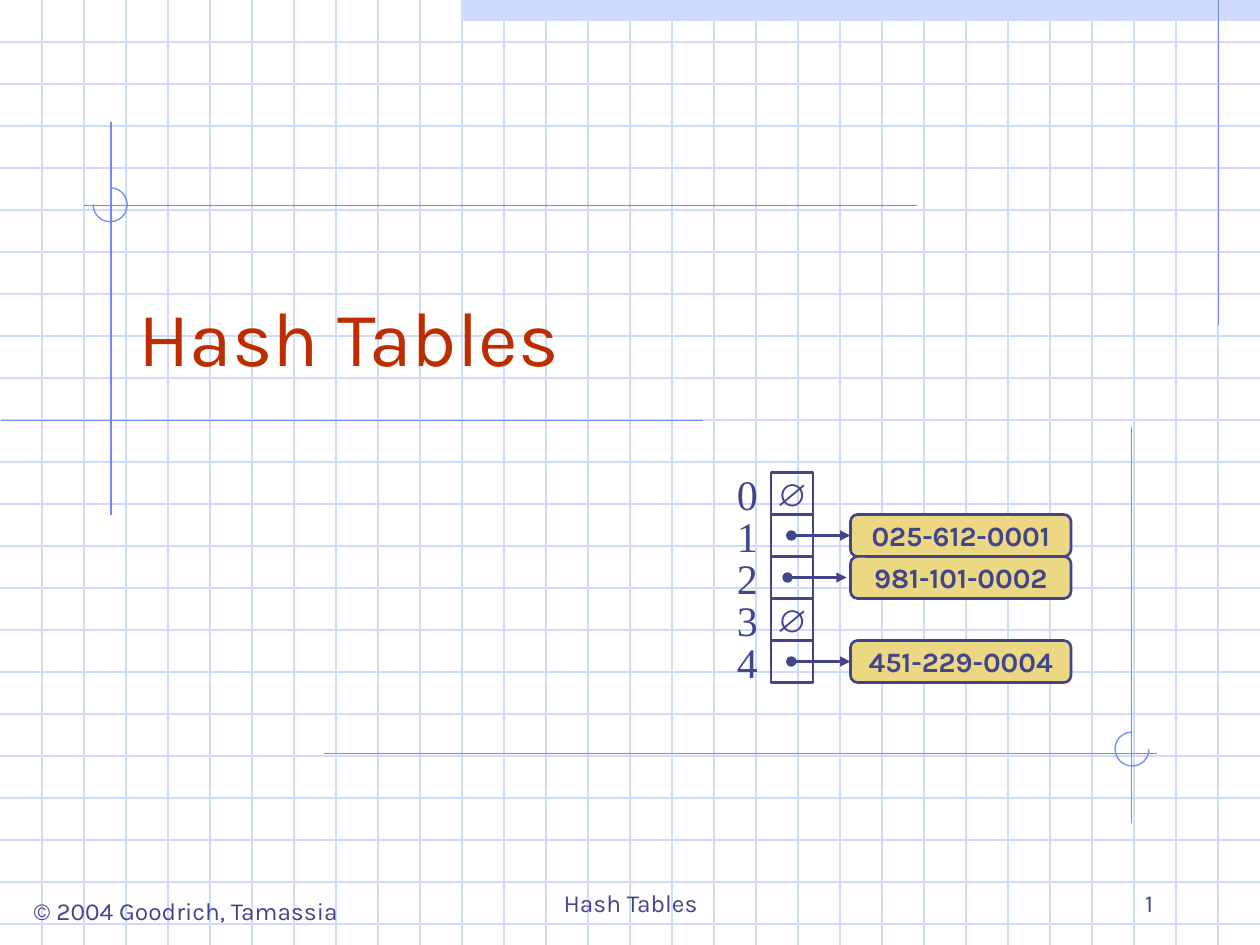
from dataclasses import dataclass

from pptx import Presentation
from pptx.dml.color import RGBColor
from pptx.enum import shapes, text
from pptx.oxml import ns
from pptx.oxml.xmlchemy import OxmlElement
from pptx.util import Inches, Pt


@dataclass(frozen=True)
class Theme:
    grid: str = "CFDBFD"
    guide: str = "6F89F7"
    ink: str = "40458C"
    title: str = "BE2D00"
    entry: str = "ECD882"
    body_font: str = "Karla"
    index_font: str = "Times New Roman"
    symbol_font: str = "Arial"
    title_size: int = 44
    index_size: int = 24
    symbol_size: int = 18
    entry_size: int = 16
    footer_size: int = 14
    thin: float = 0.75
    thick: float = 1.5


THEME = Theme()
WIDTH, HEIGHT = 10, 7.5
STEP = 1 / 3  # spacing of the grid and height of a table cell
TABLE_LEFT, TABLE_TOP = 6.12, 3.75
ENTRY_LEFT, ENTRY_WIDTH = 6.75, 1.75

# One entry per cell: the stored key, or None for an empty cell
KEYS = [None, "025-612-0001", "981-101-0002", None, "451-229-0004"]
ARROW_STARTS = {1: 6.28, 2: 6.25, 4: 6.28}
ARROW_LENGTH = 0.47

GUIDES = [
    (9.67, 0, 9.67, 2.58),
    (0.88, 0.97, 0.88, 4.09),
    (5.58, 3.34, 0.01, 3.34),
    (7.28, 1.63, 0.67, 1.63),
    (2.57, 5.98, 9.18, 5.98),
    (8.98, 3.39, 8.98, 6.53),
]
# Left, top, start and end angle (clockwise from the right)
ARCS = [(0.74, 1.49, 270, 180), (8.85, 5.81, 0, 270)]
ARC_SIZE = 0.27


def apply(target, values):
    for name, value in values.items():
        setattr(target, name, value)


def write(box, words, size, color, font=THEME.body_font, align="CENTER",
          anchor="MIDDLE", wrap=False, bold=False):
    frame = box.text_frame
    apply(frame, {
        "word_wrap": wrap,
        "vertical_anchor": getattr(text.MSO_ANCHOR, anchor),
    })
    para = frame.paragraphs[0]
    para.alignment = getattr(text.PP_ALIGN, align)
    span = para.add_run()
    span.text = words
    apply(span.font, {"name": font, "size": Pt(size), "bold": bold})
    span.font.color.rgb = RGBColor.from_string(color)


def add_text(page, area, words, size, color, **style):
    box = page.shapes.add_textbox(*map(Inches, area))
    write(box, words, size, color, **style)


def add_shape(page, kind, area, fill=None, line=None, weight=THEME.thick):
    shape = page.shapes.add_shape(kind, *map(Inches, area))
    shape.shadow.inherit = False
    if fill:
        shape.fill.solid()
        shape.fill.fore_color.rgb = RGBColor.from_string(fill)
    else:
        shape.fill.background()
    if line:
        shape.line.color.rgb = RGBColor.from_string(line)
        shape.line.width = Pt(weight)
    else:
        shape.line.fill.background()
    return shape


def add_line(page, ends, color, weight, arrow=False):
    line = page.shapes.add_connector(
        shapes.MSO_CONNECTOR.STRAIGHT, *map(Inches, ends))
    line.line.color.rgb = RGBColor.from_string(color)
    line.line.width = Pt(weight)
    properties = line._element.spPr
    if arrow:
        outline = properties.find(ns.qn("a:ln"))
        for tag, kind in (("a:headEnd", "oval"), ("a:tailEnd", "triangle")):
            end = OxmlElement(tag)
            end.set("type", kind)
            outline.append(end)
    properties.append(OxmlElement("a:effectLst"))


def add_background(page):
    # Top band and graph paper
    band_left = 11 * STEP
    add_shape(page, shapes.MSO_SHAPE.RECTANGLE,
              (band_left, 0, WIDTH - band_left, STEP / 2), fill=THEME.grid)
    for row in range(1, 23):
        add_line(page, (0, row * STEP, WIDTH, row * STEP),
                 THEME.grid, THEME.thin)
    for column in range(1, 30):
        add_line(page, (column * STEP, 0, column * STEP, HEIGHT),
                 THEME.grid, THEME.thin)

    # Drafting guides with arcs at two crossings
    for ends in GUIDES:
        add_line(page, ends, THEME.guide, THEME.thin)
    for left, top, start, end in ARCS:
        arc = add_shape(page, shapes.MSO_SHAPE.ARC,
                        (left, top, ARC_SIZE, ARC_SIZE),
                        line=THEME.guide, weight=THEME.thin)
        # Angles are stored in 60000ths, adjustments in 100000ths
        for index, angle in enumerate((start, end)):
            arc.adjustments[index] = angle * 0.6


def add_hash_table(page):
    for index, key in enumerate(KEYS):
        top = TABLE_TOP + index * STEP
        cell = add_shape(page, shapes.MSO_SHAPE.RECTANGLE,
                         (TABLE_LEFT, top, STEP, STEP), line=THEME.ink)
        add_text(page, (5.75, top - 0.08, 0.36, 0.5), str(index),
                 THEME.index_size, THEME.ink, font=THEME.index_font,
                 anchor="TOP")
        if key is None:
            write(cell, "∅", THEME.symbol_size, THEME.ink,
                  font=THEME.symbol_font)
            continue
        entry = add_shape(page, shapes.MSO_SHAPE.ROUNDED_RECTANGLE,
                          (ENTRY_LEFT, top, ENTRY_WIDTH, STEP),
                          fill=THEME.entry, line=THEME.ink)
        entry.adjustments[0] = 0.17
        write(entry, key, THEME.entry_size, THEME.ink, bold=True)
        start, middle = ARROW_STARTS[index], top + STEP / 2
        add_line(page, (start, middle, start + ARROW_LENGTH, middle),
                 THEME.ink, THEME.thick, arrow=True)


def add_footer(page):
    size, color = THEME.footer_size, THEME.ink
    add_text(page, (0.12, 7.06, 2.71, 0.34), "© 2004 Goodrich, Tamassia",
             size, color, anchor="TOP")
    add_text(page, (3.42, 6.83, 3.17, 0.5), "Hash Tables", size, color,
             anchor="BOTTOM", wrap=True)
    add_text(page, (7.17, 6.83, 2.08, 0.5), "1", size, color,
             align="RIGHT", anchor="BOTTOM", wrap=True)


def main():
    deck = Presentation()
    apply(deck, {"slide_width": Inches(WIDTH), "slide_height": Inches(HEIGHT)})
    page = deck.slides.add_slide(deck.slide_layouts[6])
    add_background(page)
    add_text(page, (1, 1.83, 8.5, 1.25), "Hash Tables", THEME.title_size,
             THEME.title, align="LEFT", anchor="BOTTOM", wrap=True)
    add_hash_table(page)
    add_footer(page)
    deck.save("out.pptx")


if __name__ == "__main__":
    main()
